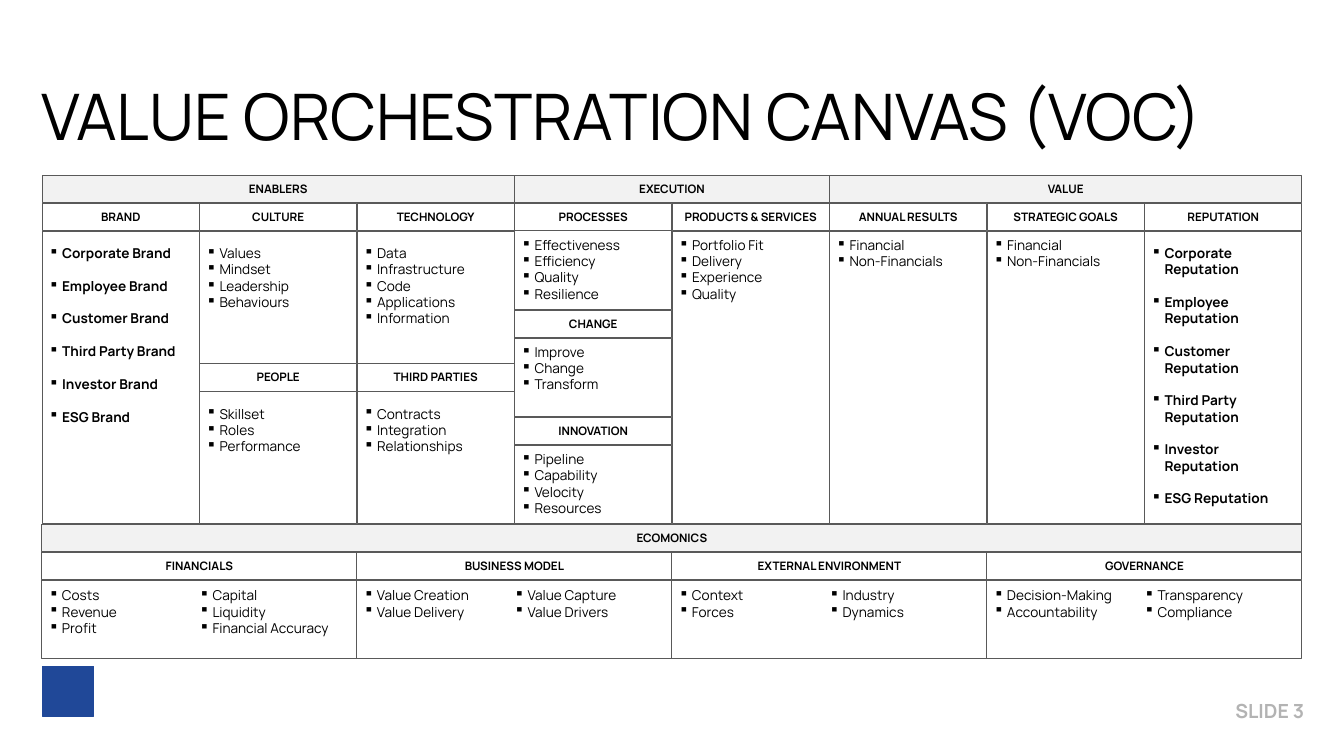
from lxml import etree
from pptx import Presentation
from pptx.dml.color import RGBColor
from pptx.enum import shapes, text
from pptx.oxml import ns
from pptx.util import Pt

BLACK = RGBColor(0x00, 0x00, 0x00)
WHITE = RGBColor(0xFF, 0xFF, 0xFF)
BAND_GREY = RGBColor(0xF2, 0xF2, 0xF2)
BORDER_GREY = RGBColor(0x59, 0x59, 0x59)
NUMBER_GREY = RGBColor(0xB3, 0xB3, 0xB3)
EMBLEM_BLUE = RGBColor(0x20, 0x48, 0x98)

FONT = "Manrope"
INDENT = 13.5
LINE = 16.8  # height of one list line

# Canvas grid, in points
LEFT, TOP = 43.2, 180
COLUMN = 162
ROW = 28.8  # from one heading to what follows it
GAP = 0.6  # sliver between stacked cells
STACK = 330.4  # headings and lists of one column
ECONOMICS_TOP = TOP + ROW + STACK
ECONOMICS_LIST = 80.6

# Band title and its width in columns
BANDS = [("ENABLERS", 3), ("EXECUTION", 2), ("VALUE", 3)]

# Each column: top inset, bold, then blocks of equal height
COLUMNS = [
    (14.4, True, [("BRAND", ["Corporate Brand", "Employee Brand", "Customer Brand",
                             "Third Party Brand", "Investor Brand", "ESG Brand"])]),
    (14.4, False, [("CULTURE", ["Values", "Mindset", "Leadership", "Behaviours"]),
                   ("PEOPLE", ["Skillset", "Roles", "Performance"])]),
    (14.4, False, [("TECHNOLOGY", ["Data", "Infrastructure", "Code", "Applications",
                                   "Information"]),
                   ("THIRD PARTIES", ["Contracts", "Integration", "Relationships"])]),
    (5.8, False, [("PROCESSES", ["Effectiveness", "Efficiency", "Quality", "Resilience"]),
                  ("CHANGE", ["Improve", "Change", "Transform"]),
                  ("INNOVATION", ["Pipeline", "Capability", "Velocity", "Resources"])]),
    (5.8, False, [("PRODUCTS & SERVICES", ["Portfolio Fit", "Delivery", "Experience",
                                           "Quality"])]),
    (5.8, False, [("ANNUAL RESULTS", ["Financial", "Non-Financials"])]),
    (5.8, False, [("STRATEGIC GOALS", ["Financial", "Non-Financials"])]),
    (14.4, True, [("REPUTATION", ["Corporate Reputation", "Employee Reputation",
                                  "Customer Reputation", "Third Party Reputation",
                                  "Investor Reputation", "ESG Reputation"])]),
]

# Heading, left list, right list
ECONOMICS = [
    ("FINANCIALS", ["Costs", "Revenue", "Profit"],
     ["Capital", "Liquidity", "Financial Accuracy"]),
    ("BUSINESS MODEL", ["Value Creation", "Value Delivery"],
     ["Value Capture", "Value Drivers"]),
    ("EXTERNAL ENVIRONMENT", ["Context", "Forces"], ["Industry", "Dynamics"]),
    ("GOVERNANCE", ["Decision-Making", "Accountability"], ["Transparency", "Compliance"]),
]


def add_bullet(paragraph):
    properties = paragraph._p.get_or_add_pPr()
    properties.set("marL", str(Pt(INDENT)))
    properties.set("indent", str(-Pt(INDENT)))
    etree.SubElement(properties, ns.qn("a:buChar")).set("char", "▪")


def write(holder, lines, size=14, bold=False, color=BLACK, align=text.PP_ALIGN.LEFT,
          anchor=text.MSO_ANCHOR.TOP, insets=(7.2, 3.6, 7.2, 3.6), bullets=False, gap=0):
    frame = holder.text_frame
    frame.word_wrap = True
    frame.vertical_anchor = anchor
    (frame.margin_left, frame.margin_top,
     frame.margin_right, frame.margin_bottom) = map(Pt, insets)
    for index, line in enumerate(lines):
        paragraph = frame.add_paragraph() if index else frame.paragraphs[0]
        if bullets:
            add_bullet(paragraph)
        paragraph.alignment = align
        if index and gap:
            paragraph.space_before = Pt(gap)
        run = paragraph.add_run()
        run.text = line
        run.font.name = FONT
        run.font.size = Pt(size)
        run.font.bold = bold
        run.font.color.rgb = color


def add_label(slide, left, top, width, height, lines, **style):
    label = slide.shapes.add_textbox(Pt(left), Pt(top), Pt(width), Pt(height))
    write(label, lines, **style)


def add_cell(slide, left, top, width, height, fill=WHITE, border=BORDER_GREY):
    cell = slide.shapes.add_shape(shapes.MSO_SHAPE.RECTANGLE,
                                  Pt(left), Pt(top), Pt(width), Pt(height))
    cell.shadow.inherit = False
    cell.fill.solid()
    cell.fill.fore_color.rgb = fill
    cell.line.color.rgb = border
    cell.line.width = Pt(1)
    return cell


def add_heading(slide, left, top, width, title, fill=WHITE):
    heading = add_cell(slide, left, top, width, ROW - GAP, fill)
    write(heading, [title], size=12, bold=True, align=text.PP_ALIGN.CENTER,
          anchor=text.MSO_ANCHOR.MIDDLE, insets=(2.9, 2.9, 2.9, 2.9))


def add_list(slide, left, top, width, height, items, inset, bold=False):
    cell = add_cell(slide, left, top, width, height)
    write(cell, items, bold=bold, bullets=True, gap=LINE if bold else 0,
          insets=(7.2, inset, 7.2, 2.9))


def add_stack(slide, left, inset, bold, blocks):
    block_height = STACK / len(blocks)
    for index, (title, items) in enumerate(blocks):
        top = TOP + ROW + index * block_height
        add_heading(slide, left, top, COLUMN, title)
        add_list(slide, left, top + ROW, COLUMN, block_height - ROW - GAP,
                 items, inset, bold)


def add_economics(slide, left, title, left_items, right_items):
    width = 2 * COLUMN
    top = ECONOMICS_TOP + 2 * ROW
    add_heading(slide, left, top - ROW, width, title)
    add_list(slide, left, top, width, ECONOMICS_LIST, left_items, 7.2)
    add_label(slide, left + COLUMN - 7.2, top, COLUMN, ECONOMICS_LIST, right_items,
              bullets=True, insets=(7.2, 7.2, 0, 2.9))


def main():
    deck = Presentation()
    deck.slide_width, deck.slide_height = Pt(1382.4), Pt(777.6)
    slide = deck.slides.add_slide(deck.slide_layouts[6])

    # Title
    add_label(slide, LEFT, 61.2, 1296, 113, ["VALUE ORCHESTRATION CANVAS (VOC)"],
              size=66, anchor=text.MSO_ANCHOR.MIDDLE, insets=(0, 0, 0, 0))

    # Columns with their headings and lists
    for index, (inset, bold, blocks) in enumerate(COLUMNS):
        add_stack(slide, LEFT + index * COLUMN, inset, bold, blocks)

    # Bands above the columns
    band_left = LEFT
    for title, span in BANDS:
        add_heading(slide, band_left, TOP, span * COLUMN, title, BAND_GREY)
        band_left += span * COLUMN

    # Economics
    add_heading(slide, LEFT, ECONOMICS_TOP, len(COLUMNS) * COLUMN, "ECOMONICS", BAND_GREY)
    for index, (title, left_items, right_items) in enumerate(ECONOMICS):
        add_economics(slide, LEFT + index * 2 * COLUMN, title, left_items, right_items)

    # Footer: emblem and slide number
    add_cell(slide, 43.9, 685.4, 52.6, 51.1, EMBLEM_BLUE, EMBLEM_BLUE)
    add_label(slide, 1219, 715, 129.6, 31.7, ["SLIDE 3"], size=20, bold=True,
              color=NUMBER_GREY, align=text.PP_ALIGN.RIGHT, anchor=text.MSO_ANCHOR.MIDDLE)

    deck.save("out.pptx")


if __name__ == "__main__":
    main()
